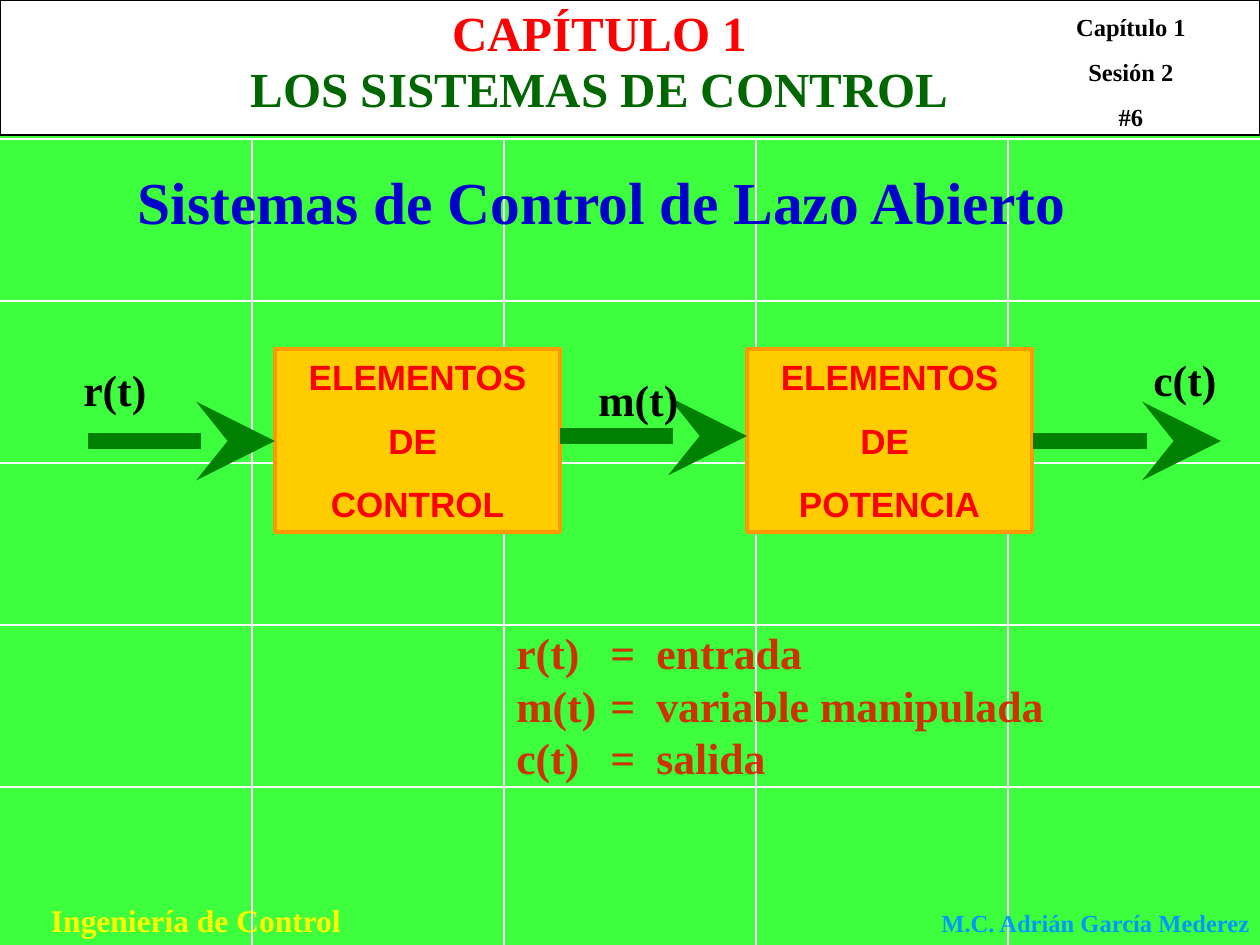
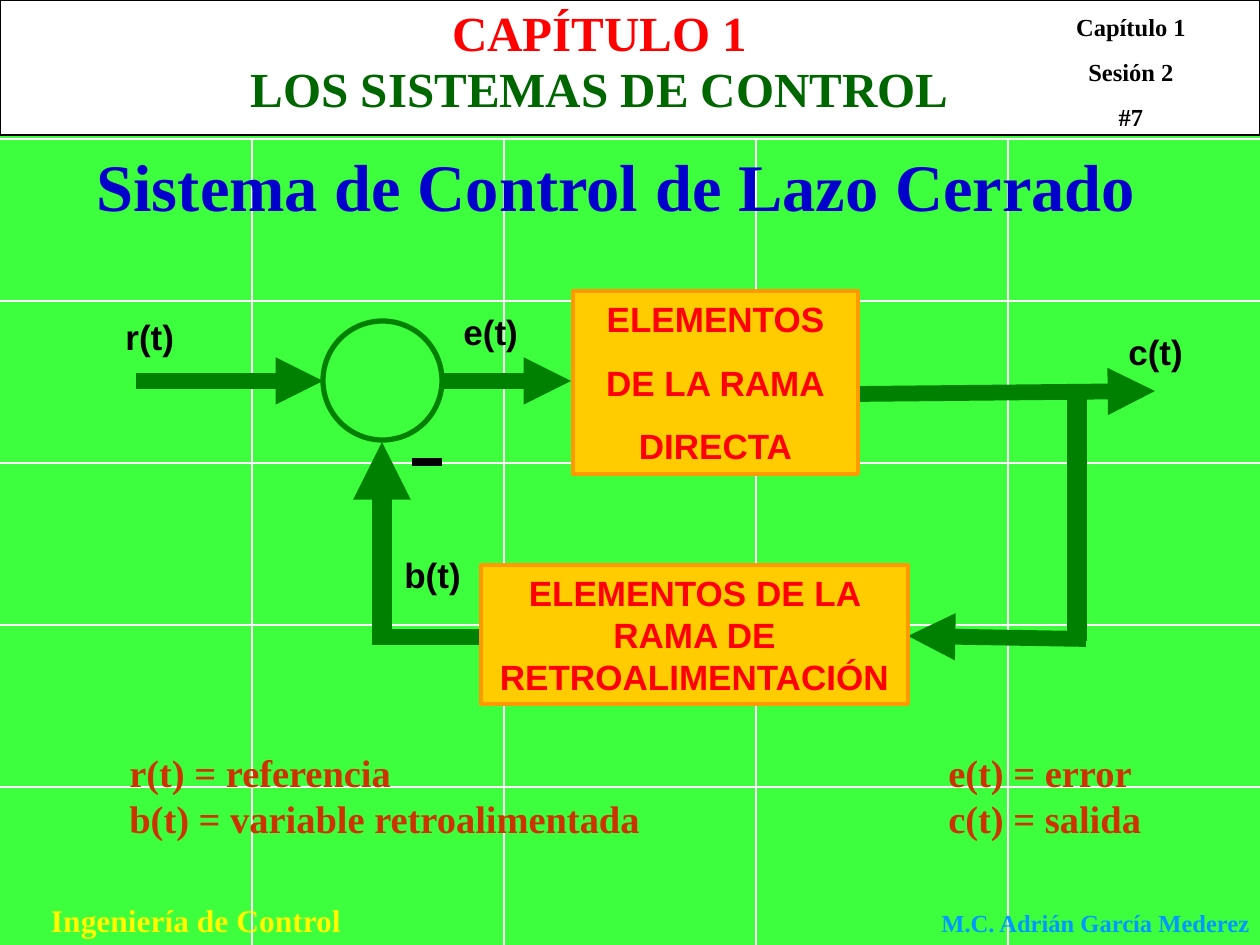
from dataclasses import dataclass

from lxml import etree
from pptx import Presentation
from pptx.dml.color import RGBColor
from pptx.enum.shapes import MSO_CONNECTOR, MSO_SHAPE
from pptx.enum.text import MSO_ANCHOR, MSO_AUTO_SIZE, PP_ALIGN
from pptx.oxml.ns import qn
from pptx.util import Emu, Pt

STRAIGHT = MSO_CONNECTOR.STRAIGHT
RECTANGLE, OVAL = MSO_SHAPE.RECTANGLE, MSO_SHAPE.OVAL
LEFT, CENTER = PP_ALIGN.LEFT, PP_ALIGN.CENTER
TOP = MSO_ANCHOR.TOP
NO_AUTOSIZE = MSO_AUTO_SIZE.NONE
TITLE_ONLY = 5

EMU_PER_PX = 914400 / 126
PAGE_WIDTH, PAGE_HEIGHT = 1260, 945
BAND_HEIGHT = 135
GRID_TOP, GRID_COLUMN, GRID_ROW = 139, 252, 162


@dataclass(frozen=True)
class Theme:
    serif: str = "Times New Roman"
    sans: str = "Arial"
    background: str = "3DFF3D"
    white: str = "FFFFFF"
    black: str = "000000"
    chapter: str = "FF0000"
    subject: str = "006600"
    title: str = "0000CC"
    course: str = "FFFF00"
    author: str = "0099FF"
    legend: str = "CC3300"
    block_fill: str = "FFCC00"
    block_line: str = "FF9900"
    block_text: str = "FF0000"
    signal: str = "008000"
    header_size: int = 28
    session_size: int = 14
    course_size: int = 18
    block_size: int = 20
    signal_width: int = 9
    branch_width: int = 11


THEME = Theme()


def px(length):
    return Emu(round(length * EMU_PER_PX))


def color(value):
    return RGBColor.from_string(value)


def write_text(box, lines, size, ink, font=THEME.serif, align=LEFT, gap=0, wrap=False):
    """Fill a shape with one bold paragraph per line, gap points apart."""
    frame = box.text_frame
    frame.text = "\n".join(lines)
    frame.word_wrap = wrap
    frame.auto_size = NO_AUTOSIZE
    frame.vertical_anchor = TOP
    for index, para in enumerate(frame.paragraphs):
        para.alignment = align
        para.space_before = Pt(gap if index else 0)
        for span in para.runs:
            span.font.name = font
            span.font.size = Pt(size)
            span.font.bold = True
            span.font.color.rgb = color(ink)


def add_text(page, area, lines, size, ink, **style):
    box = page.shapes.add_textbox(*map(px, area))
    write_text(box, lines, size, ink, **style)
    return box


def add_tab_stops(box, stops):
    for para in box.text_frame.paragraphs:
        tabs = etree.SubElement(para._p.get_or_add_pPr(), qn("a:tabLst"))
        for stop in stops:
            etree.SubElement(tabs, qn("a:tab"), pos=str(px(stop)), algn="l")


def add_outline(page, kind, area, line, width, fill=None):
    shape = page.shapes.add_shape(kind, *map(px, area))
    shape.shadow.inherit = False
    if fill:
        shape.fill.solid()
        shape.fill.fore_color.rgb = color(fill)
    else:
        shape.fill.background()
    shape.line.color.rgb = color(line)
    shape.line.width = Pt(width)
    return shape


def add_line(page, start, end, ink=THEME.signal, width=THEME.signal_width,
             arrow=None, arrow_size="med"):
    line = page.shapes.add_connector(STRAIGHT, *map(px, (*start, *end)))
    line.line.color.rgb = color(ink)
    line.line.width = Pt(width)
    if arrow:
        etree.SubElement(line.line._get_or_add_ln(), qn("a:tailEnd"),
                         type=arrow, w=arrow_size, len=arrow_size)
    etree.SubElement(line._element.spPr, qn("a:effectLst"))


def add_block(page, area, lines):
    block = add_outline(page, RECTANGLE, area, THEME.block_line, 2.25, THEME.block_fill)
    write_text(block, lines, THEME.block_size, THEME.block_text,
               font=THEME.sans, align=CENTER, gap=12.5, wrap=True)


def add_signal_names(page, names, size, font):
    for name, area in names.items():
        add_text(page, area, [name], size, THEME.black, font=font)


def add_grid(page):
    for x in range(GRID_COLUMN, PAGE_WIDTH, GRID_COLUMN):
        add_line(page, (x, GRID_TOP), (x, PAGE_HEIGHT), THEME.white, 1)
    for y in range(GRID_TOP, PAGE_HEIGHT, GRID_ROW):
        add_line(page, (0, y), (PAGE_WIDTH, y), THEME.white, 1)


def add_header(page, number):
    add_outline(page, RECTANGLE, (0, 0, PAGE_WIDTH, BAND_HEIGHT),
                THEME.black, 0.75, THEME.white)
    headings = (("CAPÍTULO 1", THEME.chapter, -4),
                ("LOS SISTEMAS DE CONTROL", THEME.subject, 52))
    for words, ink, top in headings:
        add_text(page, (123, top, 953, 72), [words], THEME.header_size, ink,
                 align=CENTER, wrap=True)
    add_text(page, (1027, 6, 208, 132), ["Capítulo 1", "Sesión 2", f"#{number}"],
             THEME.session_size, THEME.black, align=CENTER, gap=8.8, wrap=True)


def add_footer(page):
    add_text(page, (0, 895, 392, 50), ["Ingeniería de Control"],
             THEME.course_size, THEME.course, align=CENTER, wrap=True)
    add_text(page, (929, 902, 335, 43), ["M.C. Adrián García Mederez"],
             THEME.session_size, THEME.author)


def add_page(deck, number, title, area, size):
    page = deck.slides.add_slide(deck.slide_layouts[TITLE_ONLY])
    page.background.fill.solid()
    page.background.fill.fore_color.rgb = color(THEME.background)
    add_grid(page)
    add_header(page, number)
    add_footer(page)
    heading = page.shapes.title
    heading.left, heading.top, heading.width, heading.height = map(px, area)
    write_text(heading, [title], size, THEME.title)
    page.shapes._spTree.append(heading._element)  # bring in front of the grid
    return page


def build_open_loop(deck):
    page = add_page(deck, 6, "Sistemas de Control de Lazo Abierto",
                    (125, 159, 958, 84), 34)
    for left, last_word in ((275, "CONTROL"), (747, "POTENCIA")):
        add_block(page, (left, 349, 285, 183), ["ELEMENTOS", "DE ", last_word])
    for start, end, y in ((88, 275, 441), (560, 747, 436), (1033, 1221, 441)):
        add_line(page, (start, y), (end, y), arrow="stealth", arrow_size="lg")
    add_signal_names(page, {
        "r(t)": (71, 357, 98, 66),
        "m(t)": (586, 367, 116, 66),
        "c(t)": (1141, 347, 98, 66),
    }, 25, THEME.serif)
    legend = add_text(page, (504, 620, 570, 170),
                      ["r(t)\t=\tentrada", "m(t)\t=\tvariable manipulada", "c(t)\t=\tsalida"],
                      25, THEME.legend, wrap=True)
    add_tab_stops(legend, (94, 140))


def build_closed_loop(deck):
    page = add_page(deck, 7, "Sistema de Control de Lazo Cerrado",
                    (84, 139, 1066, 93), 38)
    add_line(page, (858, 394), (1155, 391), arrow="triangle")
    add_block(page, (573, 291, 285, 183), ["ELEMENTOS", "DE LA RAMA", "DIRECTA"])
    add_signal_names(page, {
        "c(t)": (1116, 324, 89, 55),
        "r(t)": (113, 309, 83, 55),
        "e(t)": (451, 304, 89, 55),
        "b(t)": (392, 547, 91, 55),
    }, 20, THEME.sans)
    add_line(page, (412, 462), (442, 462), THEME.black, 4.5)

    add_line(page, (1086, 639), (908, 636), arrow="triangle")
    add_line(page, (382, 630), (382, 442), width=THEME.branch_width, arrow="triangle")
    add_line(page, (372, 637), (541, 637))
    add_line(page, (1077, 393), (1077, 641), width=THEME.branch_width)
    add_block(page, (481, 565, 427, 139), ["ELEMENTOS DE LA RAMA DE RETROALIMENTACIÓN"])

    add_outline(page, OVAL, (323, 321, 119, 119), THEME.signal, 3)
    for start, end in ((136, 323), (442, 571)):
        add_line(page, (start, 381), (end, 381), arrow="triangle")

    legends = (
        ((117, 743, 537, 106), ["r(t) = referencia", "b(t) = variable retroalimentada"]),
        ((936, 743, 218, 106), ["e(t) = error", "c(t) = salida"]),
    )
    for area, lines in legends:
        add_text(page, area, lines, 22, THEME.legend)


def main():
    deck = Presentation()
    deck.slide_width, deck.slide_height = px(PAGE_WIDTH), px(PAGE_HEIGHT)
    build_open_loop(deck)
    build_closed_loop(deck)
    deck.save("out.pptx")


if __name__ == "__main__":
    main()
